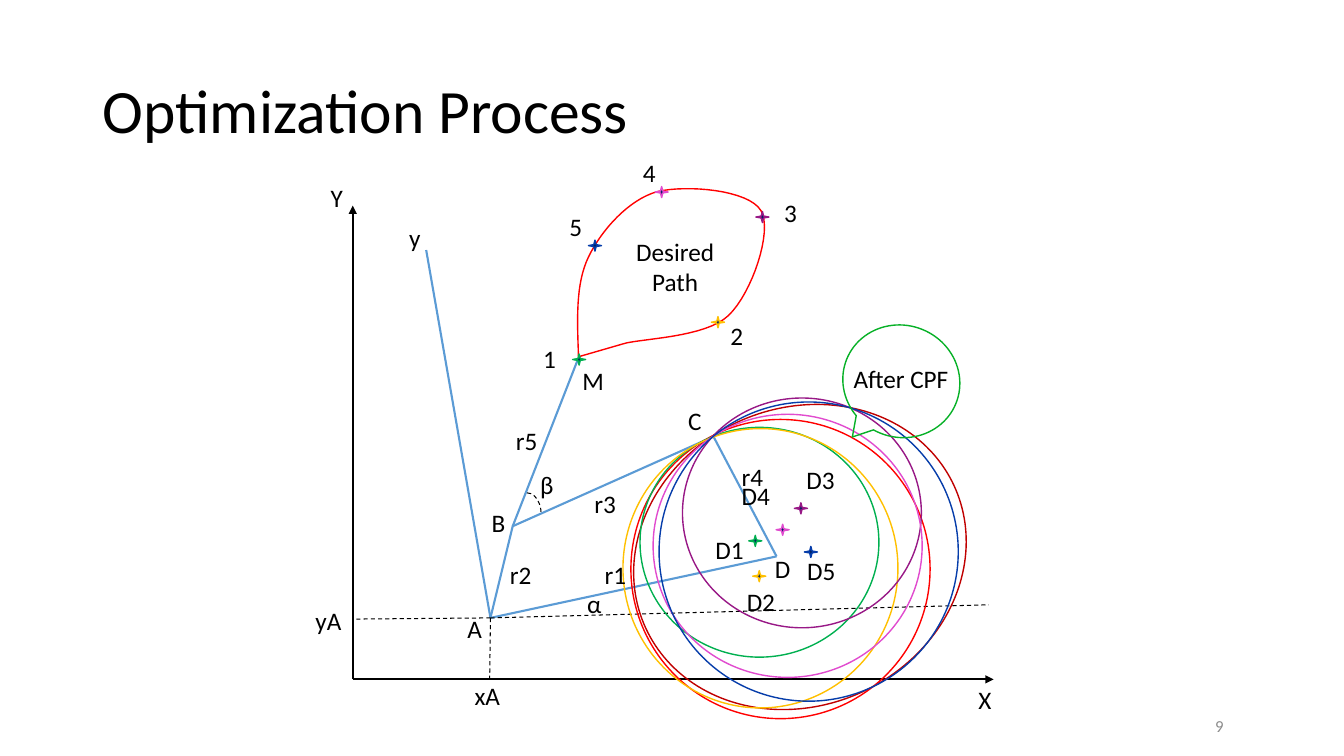
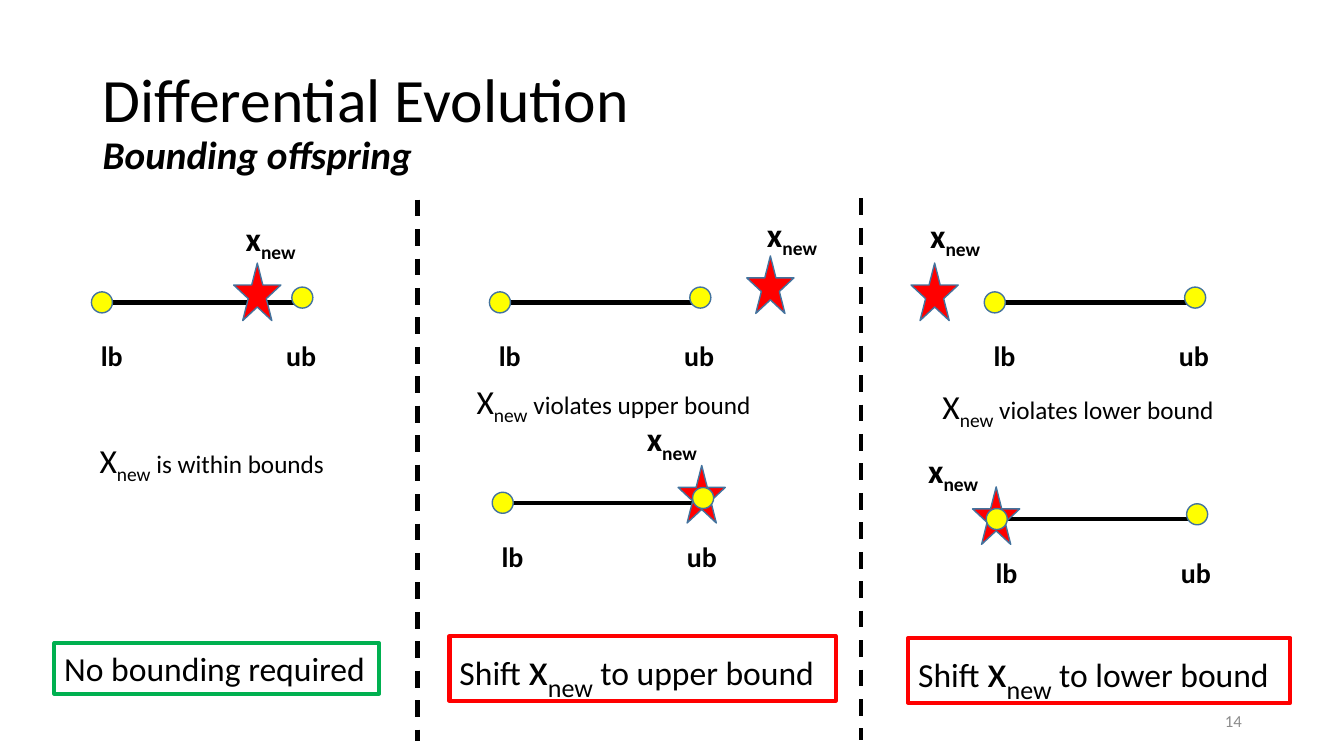
from dataclasses import dataclass

from lxml import etree
from pptx import Presentation
from pptx.dml.color import RGBColor
from pptx.enum.dml import MSO_LINE
from pptx.enum.shapes import MSO_CONNECTOR, MSO_SHAPE
from pptx.enum.text import MSO_ANCHOR, PP_ALIGN
from pptx.oxml.ns import qn
from pptx.util import Cm, Pt

FONT = "Calibri"
BLACK = RGBColor(0x00, 0x00, 0x00)
GRAY = RGBColor(0x8C, 0x8C, 0x8C)
NAVY = RGBColor(0x00, 0x20, 0x60)
LINK_BLUE = RGBColor(0x5B, 0x9B, 0xD5)
OUTLINE_BLUE = RGBColor(0x43, 0x73, 0x9E)
RED = RGBColor(0xFF, 0x00, 0x00)
DARK_RED = RGBColor(0xC0, 0x00, 0x00)
YELLOW = RGBColor(0xFF, 0xFF, 0x00)
GREEN = RGBColor(0x00, 0xB0, 0x50)
CALLOUT_GREEN = RGBColor(0x07, 0xB1, 0x27)
AMBER = RGBColor(0xFF, 0xC0, 0x00)
PURPLE = RGBColor(0x98, 0x18, 0x86)
PINK = RGBColor(0xE1, 0x4B, 0xCF)
BLUE = RGBColor(0x06, 0x3D, 0xAA)

# Joints of the mechanism and the axes, in centimetres
A, B, C, D, M = (12.36, 15.57), (12.92, 13.26), (17.98, 11), (19.57, 14.02), (14.55, 9.09)
ORIGIN = (8.89, 17.12)
CURVE_STEPS = 16

# Colour, path star, path label, centre star, centre label, circle
PATH_POINTS = (
    (GREEN, (14.43, 8.92), (13.44, 8.53), (18.87, 13.49), (17.78, 13.34),
     (16.13, 10.77, 6.02, 5.79)),
    (AMBER, (17.93, 7.98), (18.16, 7.95), (18.97, 14.38), (18.57, 14.66),
     (15.7, 10.8, 6.93, 7.04)),
    (PURPLE, (19.05, 5.33), (19.51, 4.85), (20.02, 12.67), (20.07, 11.58),
     (17.2, 10.03, 6.02, 5.79)),
    (PINK, (16.51, 4.7), (15.95, 3.84), (19.56, 13.21), (18.44, 11.99),
     (16.46, 10.44, 6.78, 6.63)),
    (BLUE, (14.83, 6.05), (14.1, 5.21), (20.27, 13.77), (20.09, 13.87),
     (16.61, 10.13, 7.54, 7.54)),
)

DIAGRAM_LABELS = (
    ("Y", 8.08, 4.47), ("X", 24.41, 17.12), ("y", 10.06, 5.49),
    ("A", 11.53, 15.34), ("B", 12.14, 12.67), ("C", 17.09, 10.08),
    ("D", 19.28, 13.82), ("M", 14.43, 9.09), ("r1", 14.99, 13.97),
    ("r2", 12.6, 13.97), ("r3", 14.73, 12.17), ("r4", 18.44, 11.51),
    ("r5", 12.75, 10.59), ("xA", 11.71, 17.02), ("yA", 7.7, 15.14),
    ("α", 14.55, 14.71), ("β", 13.36, 11.71),
)

# Each curve is two control points and an end point
PATH_START, PATH_CORNER = (14.58, 8.99), (15.72, 8.66)
PATH_CURVES = (
    ((16.15, 8.53), (17.78, 8.51), (18.36, 7.95)),
    ((18.95, 7.39), (19.48, 5.82), (19.18, 5.31)),
    ((18.87, 4.78), (17.3, 4.65), (16.56, 4.83)),
    ((15.85, 5.03), (15.16, 5.79), (14.83, 6.48)),
    ((14.5, 7.16), (14.55, 8.08), PATH_START),
)

# Line start, star corner, star label corner
NUMBER_LINES = (
    ((2.57, 7.62), (5.89, 6.63), (5.94, 5.36)),
    ((12.6, 7.62), (18.82, 6.45), (19.08, 5.26)),
    ((25.07, 7.62), (22.96, 6.63), (23.19, 5.28)),
    ((12.67, 12.67), (17.09, 11.73), (16.05, 10.41)),
    ((25.12, 13.08), (24.51, 12.27), (23.14, 11.2)),
)


@dataclass
class Span:
    text: str
    size: float = 18
    bold: bool = False
    italic: bool = False
    subscript: bool = False
    color: RGBColor = BLACK


def add_text(page, left, top, width, height, *spans, align=PP_ALIGN.LEFT,
             anchor=MSO_ANCHOR.TOP):
    box = page.shapes.add_textbox(Cm(left), Cm(top), Cm(width), Cm(height))
    frame = box.text_frame
    frame.word_wrap = True
    frame.vertical_anchor = anchor
    para = frame.paragraphs[0]
    para.alignment = align
    for span in spans:
        run = para.add_run()
        run.text = span.text
        font = run.font
        font.name, font.size = FONT, Pt(span.size)
        font.bold, font.italic = span.bold, span.italic
        font.color.rgb = span.color
        if span.subscript:
            run._r.get_or_add_rPr().set("baseline", "-25000")
    return box


def add_label(page, text, left, top, width=1.4, align=PP_ALIGN.LEFT):
    return add_text(page, left, top, width, 1.02, Span(text), align=align)


def add_title(page, text, top, size=44, bold=False, italic=False):
    box = add_text(page, 2.34, top, 29.21, 3.68,
                   Span(text, size, bold, italic), anchor=MSO_ANCHOR.MIDDLE)
    box.text_frame.paragraphs[0].line_spacing = 0.9


def add_page_number(page, number, left, top):
    add_text(page, left, top, 7.62, 1.02, Span(number, 12, color=GRAY),
             align=PP_ALIGN.RIGHT, anchor=MSO_ANCHOR.MIDDLE)


def style_shape(shape, line_color, fill_color=None, line_width=1):
    shape.shadow.inherit = False
    if fill_color is None:
        shape.fill.background()
    else:
        shape.fill.solid()
        shape.fill.fore_color.rgb = fill_color
    shape.line.color.rgb = line_color
    shape.line.width = Pt(line_width)


def add_figure(page, preset, left, top, width, height, line_color,
               fill_color=None, line_width=1, rotation=0):
    shape = page.shapes.add_shape(preset, Cm(left), Cm(top), Cm(width), Cm(height))
    style_shape(shape, line_color, fill_color, line_width)
    shape.rotation = rotation
    return shape


def add_line(page, start, end, color=BLACK, width=1.5, dashed=False, arrow=False):
    line = page.shapes.add_connector(
        MSO_CONNECTOR.STRAIGHT, *(Cm(value) for value in (*start, *end)))
    line.line.color.rgb = color
    line.line.width = Pt(width)
    if dashed:
        line.line.dash_style = MSO_LINE.DASH
    if arrow:
        etree.SubElement(line.line._get_or_add_ln(), qn("a:tailEnd"), type="triangle")
    etree.SubElement(line._element.spPr, qn("a:effectLst"))


def curve_points(start, first_control, second_control, end):
    """Return points along a cubic Bezier curve, without its start."""
    points = []
    for step in range(1, CURVE_STEPS + 1):
        t = step / CURVE_STEPS
        u = 1 - t
        points.append(tuple(
            u**3 * p0 + 3 * u**2 * t * p1 + 3 * u * t**2 * p2 + t**3 * p3
            for p0, p1, p2, p3 in zip(start, first_control, second_control, end)))
    return points


def add_desired_path(page):
    points = [PATH_CORNER]
    for curve in PATH_CURVES:
        points += curve_points(points[-1], *curve)
    builder = page.shapes.build_freeform(*(Cm(value) for value in PATH_START))
    builder.add_line_segments([(Cm(x), Cm(y)) for x, y in points], close=True)
    style_shape(builder.convert_to_shape(), RED)
    add_label(page, "Desired Path", 15.72, 5.82, 2.59, PP_ALIGN.CENTER)


def add_path_point(page, number, color, path_star, path_label, centre_star,
                   centre_label, circle):
    for star in (path_star, centre_star):
        add_figure(page, MSO_SHAPE.STAR_4_POINT, *star, 0.33, 0.28, color, NAVY)
    add_label(page, f"{number}", *path_label)
    add_label(page, f"D{number}", *centre_label)
    add_figure(page, MSO_SHAPE.OVAL, *circle, color)


def add_number_line(page, start, star, star_label):
    """Draw a bounded interval with the offspring as a star."""
    x, y = start
    length, dot = 5.05, 0.53
    add_line(page, start, (x + length, y), width=3)
    add_figure(page, MSO_SHAPE.STAR_5_POINT, *star, 1.19, 1.45, OUTLINE_BLUE, RED)
    for centre_x, centre_y in ((x, y), (x + length, y - 0.12)):
        add_figure(page, MSO_SHAPE.OVAL, centre_x - dot / 2, centre_y - dot / 2,
                   dot, dot, OUTLINE_BLUE, YELLOW)
    for text, offset in (("lb", -0.28), ("ub", 4.39)):
        add_text(page, x + offset, y + 0.79, 1.5, 1.12, Span(text, 20, bold=True))
    add_text(page, *star_label, 2.29, 1.27, Span("x", 24, bold=True),
             Span("new", 24, bold=True, subscript=True))


def add_finding(page, text, left, top):
    add_text(page, left, top, 8.2, 1.27, Span("X", 24),
             Span("new", 24, subscript=True), Span(text))


def add_verdict(page, left, top, width, height, color, *spans):
    box = add_text(page, left, top, width, height, *spans)
    box.line.color.rgb = color
    box.line.width = Pt(3)


def add_shift_verdict(page, bound, left, top, width):
    add_verdict(page, left, top, width, 1.63, RED, Span("Shift ", 24), Span("x", 32),
                Span("new", 32, subscript=True), Span(f" to {bound} bound", 24))


def build_optimization(page):
    add_title(page, "Optimization Process", 1.02)
    for start, end in (((10.74, 6.3), A), (B, A), (C, B), (M, B), (D, A), (C, D)):
        add_line(page, start, end, LINK_BLUE)
    for end in ((ORIGIN[0], 5.18), (25.04, ORIGIN[1])):
        add_line(page, ORIGIN, end, arrow=True)
    for end in ((12.34, ORIGIN[1]), (ORIGIN[0], 15.6), (24.92, 15.24)):
        add_line(page, A, end, width=0.75, dashed=True)
    angle = add_figure(page, MSO_SHAPE.ARC, 12.93, 12.42, 0.71, 1.07, BLACK,
                       line_width=0.75)
    angle.line.dash_style = MSO_LINE.DASH
    add_desired_path(page)
    add_figure(page, MSO_SHAPE.OVAL, 15.88, 10.29, 8.56, 7.49, DARK_RED, rotation=335.2)
    add_figure(page, MSO_SHAPE.OVAL, 15.9, 10.57, 7.54, 7.54, RED)
    for number, point in enumerate(PATH_POINTS, start=1):
        add_path_point(page, number, *point)
    for label in DIAGRAM_LABELS:
        add_label(page, *label)
    add_figure(page, MSO_SHAPE.OVAL_CALLOUT, 21.23, 8.2, 2.97, 2.82, CALLOUT_GREEN,
               rotation=22)
    add_label(page, "After CPF", 21.26, 9.02, 3.05)
    add_page_number(page, "9", 23.47, 17.78)


def build_bounding(page):
    add_title(page, "Differential Evolution", 0.74)
    add_title(page, "Bounding offspring", 2.11, 28, bold=True, italic=True)
    for number_line in NUMBER_LINES:
        add_number_line(page, *number_line)
    for x, top, bottom in ((10.52, 5.03, 18.67), (21.69, 5, 18.64)):
        add_line(page, (x, top), (x, bottom), width=3, dashed=True)
    add_finding(page, " is within bounds", 2.26, 10.95)
    add_finding(page, " violates upper bound", 11.76, 9.47)
    add_finding(page, " violates lower bound", 23.5, 9.6)
    add_verdict(page, 1.37, 16.21, 8.18, 1.27, GREEN, Span("No bounding required", 24))
    add_shift_verdict(page, "upper", 11.33, 16.03, 9.73)
    add_shift_verdict(page, "lower", 22.89, 16.08, 9.63)
    add_page_number(page, "14", 23.93, 17.65)


def main():
    deck = Presentation()
    deck.slide_width, deck.slide_height = Cm(33.87), Cm(19.05)
    blank = deck.slide_layouts[6]
    for build in (build_optimization, build_bounding):
        build(deck.slides.add_slide(blank))
    deck.save("out.pptx")


if __name__ == "__main__":
    main()
